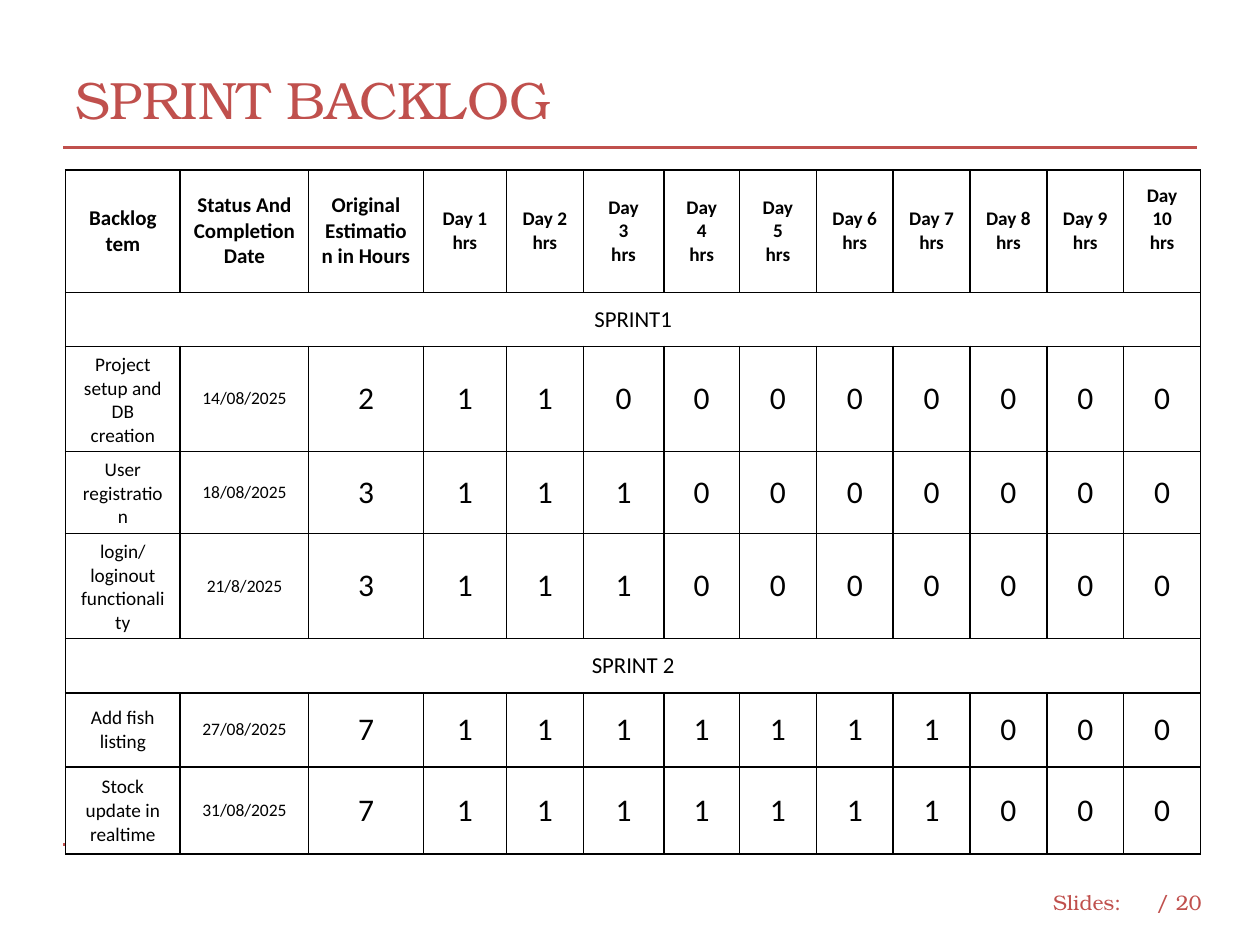
from lxml.etree import SubElement
from pptx import Presentation
from pptx.dml.color import RGBColor
from pptx.enum.dml import MSO_LINE_DASH_STYLE as Dash
from pptx.enum.shapes import MSO_CONNECTOR as Connector
from pptx.enum.text import MSO_VERTICAL_ANCHOR as Anchor, PP_PARAGRAPH_ALIGNMENT as Align
from pptx.oxml.ns import qn
from pptx.util import Inches, Pt

RED = RGBColor(0xC0, 0x50, 0x4D)
BLACK = RGBColor(0, 0, 0)
WHITE = RGBColor(0xFF, 0xFF, 0xFF)

GRID_COLUMNS, GRID_ROWS = 100, 75
DAYS = 10
STACKED_DAYS = (3, 4, 5)
COLUMN_WIDTHS = [9.1, 10.2, 9.1, 6.6, 6.1, 6.4, 6] + [6.1] * 6
ROW_HEIGHTS = [9.7, 4.3, 5.9, 5.9, 5.2, 4.3, 5.9, 6.9]

SPRINTS = {
    "SPRINT1": [
        ("Project setup and DB creation", "14/08/2025", 2),
        ("User registration", "18/08/2025", 3),
        ("login/loginout functionality", "21/8/2025", 3),
    ],
    "SPRINT 2": [
        ("Add fish listing", "27/08/2025", 7),
        ("Stock update in realtime", "31/08/2025", 7),
    ],
}


def write_text(frame, text, size, font, color, bold=False, align=Align.LEFT):
    frame.word_wrap = True
    for index, line in enumerate(text.split("\n")):
        para = frame.add_paragraph() if index else frame.paragraphs[0]
        para.alignment = align
        span = para.add_run()
        span.text = line
        span.font.size = Pt(size)
        span.font.name = font
        span.font.bold = bold
        span.font.color.rgb = color


class SlideBuilder:
    heading_font = "TeX Gyre Bonum"
    table_font = "Calibri"
    rule_width = Pt(1.75)
    border_width = Pt(0.96)

    def __init__(self, deck):
        self.page = deck.slides.add_slide(deck.slide_layouts[6])
        self.column = deck.slide_width / GRID_COLUMNS
        self.row = deck.slide_height / GRID_ROWS

    def place(self, left, top, width, height):
        return (round(left * self.column), round(top * self.row),
                round(width * self.column), round(height * self.row))

    def label(self, text, area, size):
        box = self.page.shapes.add_textbox(*self.place(*area))
        box.text_frame.vertical_anchor = Anchor.MIDDLE
        write_text(box.text_frame, text, size, self.heading_font, RED)

    def rule(self, top, dash=None):
        left, level, width, _ = self.place(5, top, 90, 0)
        line = self.page.shapes.add_connector(
            Connector.STRAIGHT, left, level, left + width, level)
        line.line.color.rgb = RED
        line.line.width = self.rule_width
        line.line.dash_style = dash
        SubElement(line._element.spPr, qn("a:effectLst"))

    def table(self, left, top, widths, heights):
        area = self.place(left, top, sum(widths), sum(heights))
        table = self.page.shapes.add_table(len(heights), len(widths), *area).table
        table.first_row = table.horz_banding = False
        for column, width in zip(table.columns, widths):
            column.width = round(width * self.column)
        for row, height in zip(table.rows, heights):
            row.height = round(height * self.row)
        for cell in table.iter_cells():
            self.style_cell(cell)
        return table

    def style_cell(self, cell):
        properties = cell._tc.get_or_add_tcPr()
        for side in ("a:lnL", "a:lnR", "a:lnT", "a:lnB"):
            border = SubElement(properties, qn(side), w=str(int(self.border_width)))
            fill = SubElement(border, qn("a:solidFill"))
            SubElement(fill, qn("a:srgbClr"), val=str(BLACK))
        cell.fill.solid()
        cell.fill.fore_color.rgb = WHITE
        cell.vertical_anchor = Anchor.MIDDLE

    def cell_text(self, cell, text, size, bold=False):
        write_text(cell.text_frame, text, size, self.table_font, BLACK,
                   bold=bold, align=Align.CENTER)

    def table_row(self, table, row, texts, sizes, bold=False):
        for column, (text, size) in enumerate(zip(texts, sizes)):
            self.cell_text(table.cell(row, column), str(text), size, bold)

    def sprint_band(self, table, row, name):
        band = table.cell(row, 0)
        band.merge(table.cell(row, len(table.columns) - 1))
        self.cell_text(band, name, 13)


def day_heading(day):
    gap = "\n" if day in STACKED_DAYS else " "
    return f"Day{gap}{day}\nhrs"


def add_backlog(builder):
    table = builder.table(5.2, 13.5, COLUMN_WIDTHS, ROW_HEIGHTS)
    days = [day_heading(day) for day in range(1, DAYS + 1)]
    headings = ["Backlog tem", "Status And Completion Date",
                "Original Estimation in Hours"]
    builder.table_row(table, 0, headings + days, [12] * 3 + [11] * DAYS, bold=True)
    table.cell(0, len(COLUMN_WIDTHS) - 1).margin_bottom = Inches(0.24)

    row = 1
    for name, items in SPRINTS.items():
        builder.sprint_band(table, row, name)
        for row, (item, date, estimate) in enumerate(items, row + 1):
            hours = [int(day < estimate) for day in range(DAYS)]
            builder.table_row(table, row, [item, date, estimate] + hours,
                              [11, 10] + [18] * (DAYS + 1))
        row += 1


def main():
    deck = Presentation()
    deck.slide_width, deck.slide_height = Inches(10), Inches(7.5)
    builder = SlideBuilder(deck)
    builder.label("Slides:", (82.6, 69.6, 7.6, 4), 12)
    builder.label("/ 20", (90.8, 69.6, 5.8, 4), 12)
    builder.rule(67, Dash.DASH)
    builder.rule(11.7)
    builder.label("SPRINT BACKLOG", (5, 3.3, 90, 9.1), 30)
    add_backlog(builder)
    deck.save("out.pptx")


if __name__ == "__main__":
    main()
